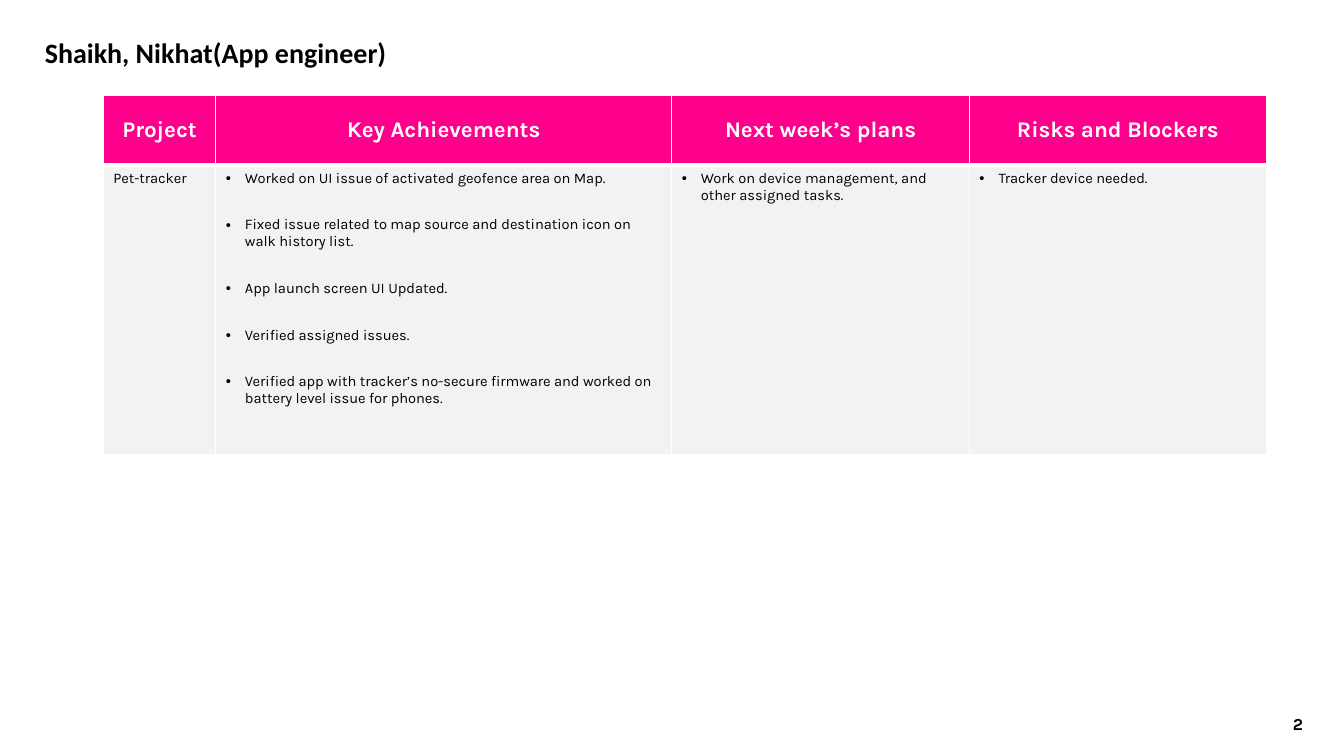
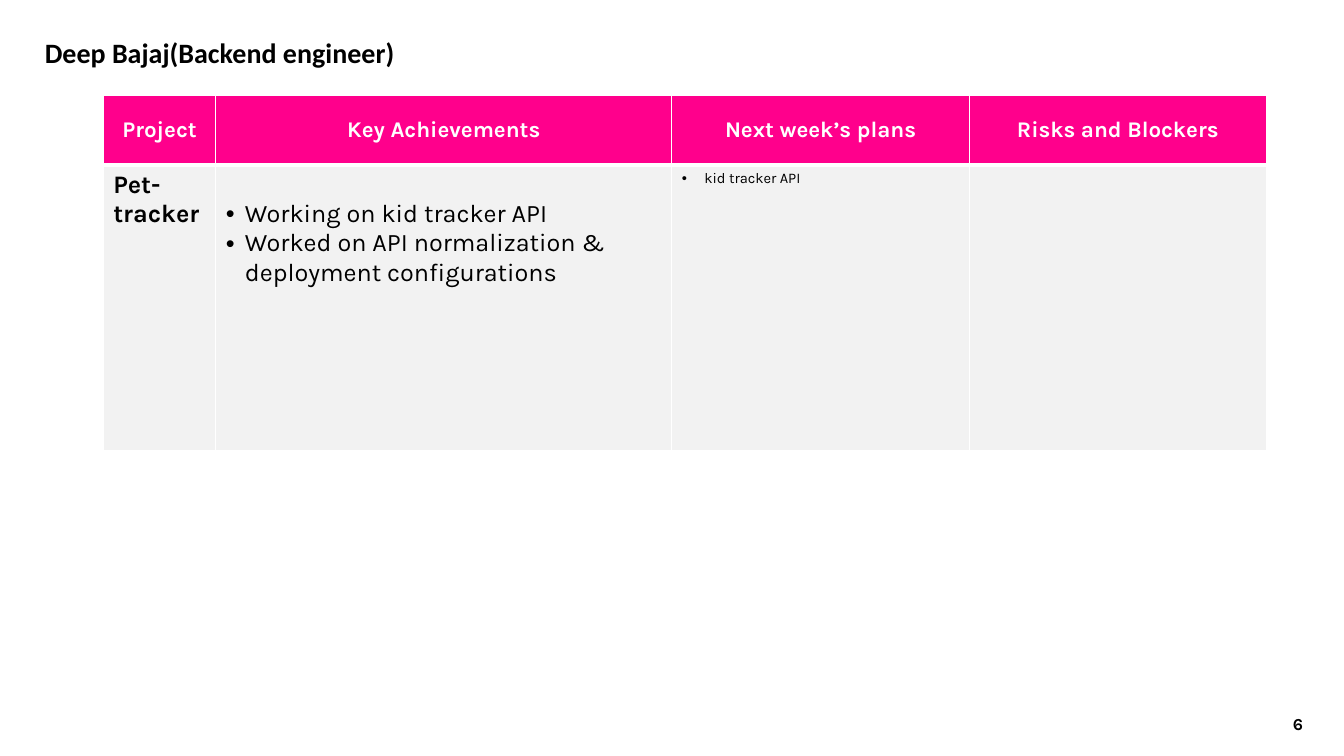
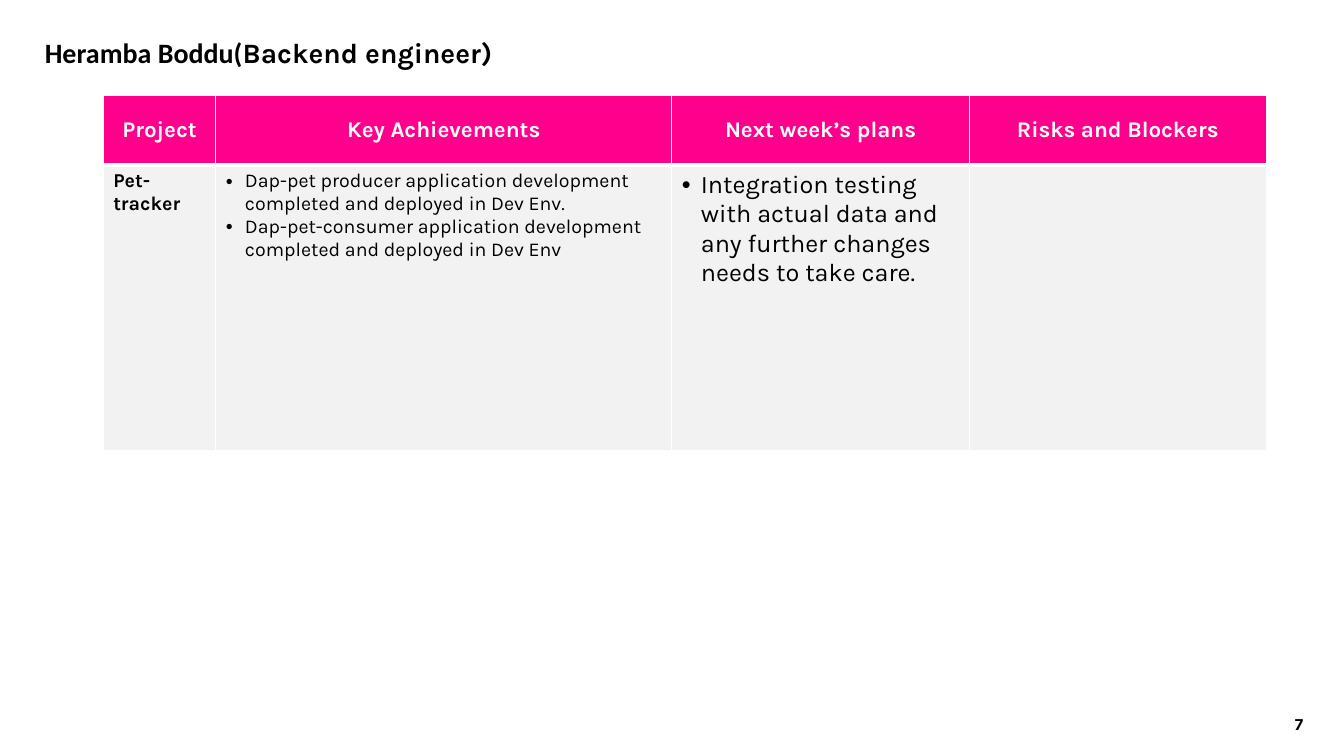
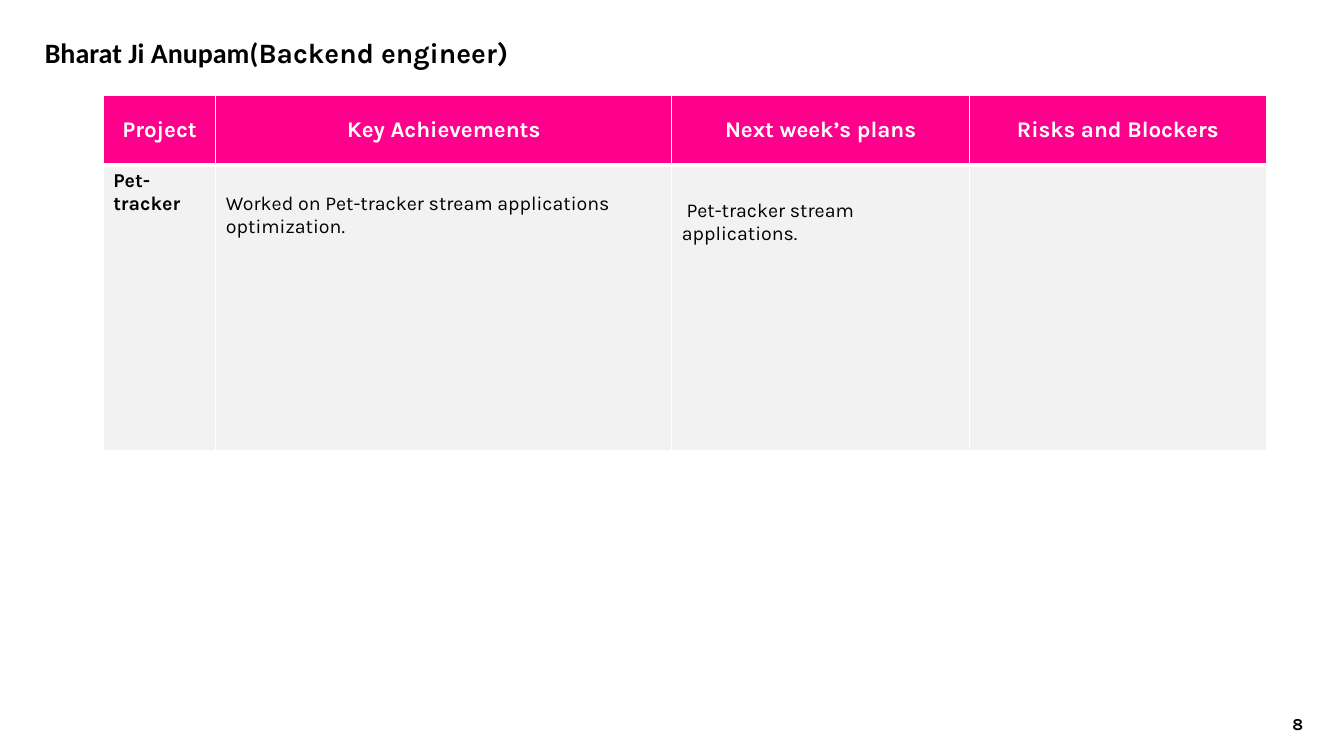
from dataclasses import dataclass

from lxml.etree import SubElement as add_child
from pptx import Presentation
from pptx.dml.color import RGBColor
from pptx.enum.text import MSO_ANCHOR as Anchor, PP_ALIGN as Align
from pptx.oxml.ns import qn
from pptx.util import Cm, Pt

BLACK = RGBColor(0x00, 0x00, 0x00)
WHITE = RGBColor(0xFF, 0xFF, 0xFF)
PINK = RGBColor(0xFF, 0x00, 0x8C)
PALE_GREY = RGBColor(0xF2, 0xF2, 0xF2)

TITLE_FONT = "Calibri"
BODY_FONT = "Karla"
BULLET_FONT = "Arial"

HEADINGS = ["Project", "Key Achievements", "Next week’s plans", "Risks and Blockers"]
COLUMN_WIDTHS = [2.84, 11.49, 7.5, 7.48]
HEADER_HEIGHT = 1.74
BODY_HEIGHT = 7.21


@dataclass
class Entry:
    lines: tuple = ()
    size: float = 14
    bold: bool = False
    bullets: bool = False
    gap: float = 0
    top: float = 0.13


class StatusDeck:
    def __init__(self):
        self.deck = Presentation()
        self.deck.slide_width = Cm(33.87)
        self.deck.slide_height = Cm(19.05)
        self.slide = None

    def page(self, number, title_runs):
        self.slide = self.deck.slides.add_slide(self.deck.slide_layouts[6])
        self.text([(str(number), BODY_FONT)], (30.84, 17.85, 2.13, 0.79), 12, 0.13, Align.RIGHT)
        self.text(title_runs, (0.93, 0.58, 13.23, 1.5), 20, 0.2)

    def style(self, span, font, size, bold=True, color=BLACK):
        span.font.name = font
        span.font.size = Pt(size)
        span.font.bold = bold
        span.font.color.rgb = color

    def text(self, runs, place, size, margin, align=Align.LEFT):
        box = self.slide.shapes.add_textbox(*map(Cm, place))
        frame = box.text_frame
        frame.word_wrap = True
        frame.vertical_anchor = Anchor.MIDDLE
        frame.margin_left = frame.margin_right = Cm(margin)
        frame.margin_top = frame.margin_bottom = Cm(margin)
        para = frame.paragraphs[0]
        para.alignment = align
        for words, font in runs:
            span = para.add_run()
            span.text = words
            self.style(span, font, size)

    def table(self, entries, body_height=BODY_HEIGHT):
        frame = self.slide.shapes.add_table(
            2, len(HEADINGS), Cm(2.6), Cm(2.41),
            Cm(sum(COLUMN_WIDTHS)), Cm(HEADER_HEIGHT + body_height))
        table = frame.table
        table.first_row = table.horz_banding = False
        for row, height in zip(table.rows, (HEADER_HEIGHT, body_height)):
            row.height = Cm(height)
        for index, width in enumerate(COLUMN_WIDTHS):
            table.columns[index].width = Cm(width)
            self.heading(table.cell(0, index), HEADINGS[index])
            self.entry(table.cell(1, index), entries[index])

    def heading(self, cell, words):
        self.surface(cell, PINK, top=1, bottom=3)
        cell.vertical_anchor = Anchor.MIDDLE
        cell.text_frame.text = words
        para = cell.text_frame.paragraphs[0]
        para.alignment = Align.CENTER
        self.style(para.runs[0], BODY_FONT, 16, color=WHITE)

    def entry(self, cell, entry):
        self.surface(cell, PALE_GREY, top=3, bottom=1)
        cell.margin_top = Cm(entry.top)
        if not entry.lines:
            return
        cell.text_frame.text = "\n".join(entry.lines)
        for para in cell.text_frame.paragraphs:
            para.space_after = Pt(entry.gap)
            self.style(para.runs[0], BODY_FONT, entry.size, entry.bold)
            if entry.bullets:
                self.bullet(para)

    def bullet(self, para):
        properties = para._p.get_or_add_pPr()
        properties.set("marL", str(Cm(0.48)))
        properties.set("indent", str(-Cm(0.48)))
        add_child(properties, qn("a:buFont"), typeface=BULLET_FONT)
        add_child(properties, qn("a:buChar"), char="•")

    def surface(self, cell, color, top, bottom):
        properties = cell._tc.get_or_add_tcPr()
        for side, width in (("L", 1), ("R", 1), ("T", top), ("B", bottom)):
            line = add_child(properties, qn(f"a:ln{side}"), w=str(Pt(width)))
            fill = add_child(line, qn("a:solidFill"))
            add_child(fill, qn("a:srgbClr"), val=str(WHITE))
        cell.fill.solid()
        cell.fill.fore_color.rgb = color

    def save(self):
        self.deck.save("out.pptx")


def main():
    status = StatusDeck()

    status.page(2, [("Shaikh, Nikhat(App engineer)", TITLE_FONT)])
    status.table([
        Entry(("Pet-tracker",), 10.5),
        Entry((
            "Worked on UI issue of activated geofence area on Map.",
            "Fixed issue related to map source and destination icon on walk history list.",
            "App launch screen UI Updated.",
            "Verified assigned issues.",
            "Verified app with tracker’s no-secure firmware and worked on battery level issue for phones.",
        ), 10.5, bullets=True, gap=21),
        Entry(("Work on device management, and other assigned tasks.",), 10.5, bullets=True),
        Entry(("Tracker device needed.",), 10.5, bullets=True),
    ], body_height=7.31)

    status.page(6, [("Deep Bajaj(Backend engineer)", TITLE_FONT)])
    status.table([
        Entry(("Pet-tracker",), 18, bold=True),
        Entry((
            "Working on kid tracker API",
            "Worked on API normalization & deployment configurations",
        ), 18, bullets=True, top=0.87),
        Entry((" kid tracker API",), 10.5, bullets=True),
        Entry(),
    ])

    status.page(7, [("Heramba Boddu(", TITLE_FONT), ("Backend engineer)", BODY_FONT)])
    status.table([
        Entry(("Pet-tracker",), bold=True),
        Entry((
            "Dap-pet producer application development completed and deployed in Dev Env.",
            "Dap-pet-consumer application development completed and deployed in Dev Env",
        ), bullets=True),
        Entry(("Integration testing with actual data and any further changes needs to take care.",),
              18, bullets=True),
        Entry(),
    ])

    status.page(8, [("Bharat Ji Anupam(", TITLE_FONT), ("Backend engineer)", BODY_FONT)])
    status.table([
        Entry(("Pet-tracker",), bold=True),
        Entry(("Worked on Pet-tracker stream applications optimization.",), top=0.71),
        Entry((" Pet-tracker stream applications.",), top=0.87),
        Entry(),
    ])

    status.save()


if __name__ == "__main__":
    main()
